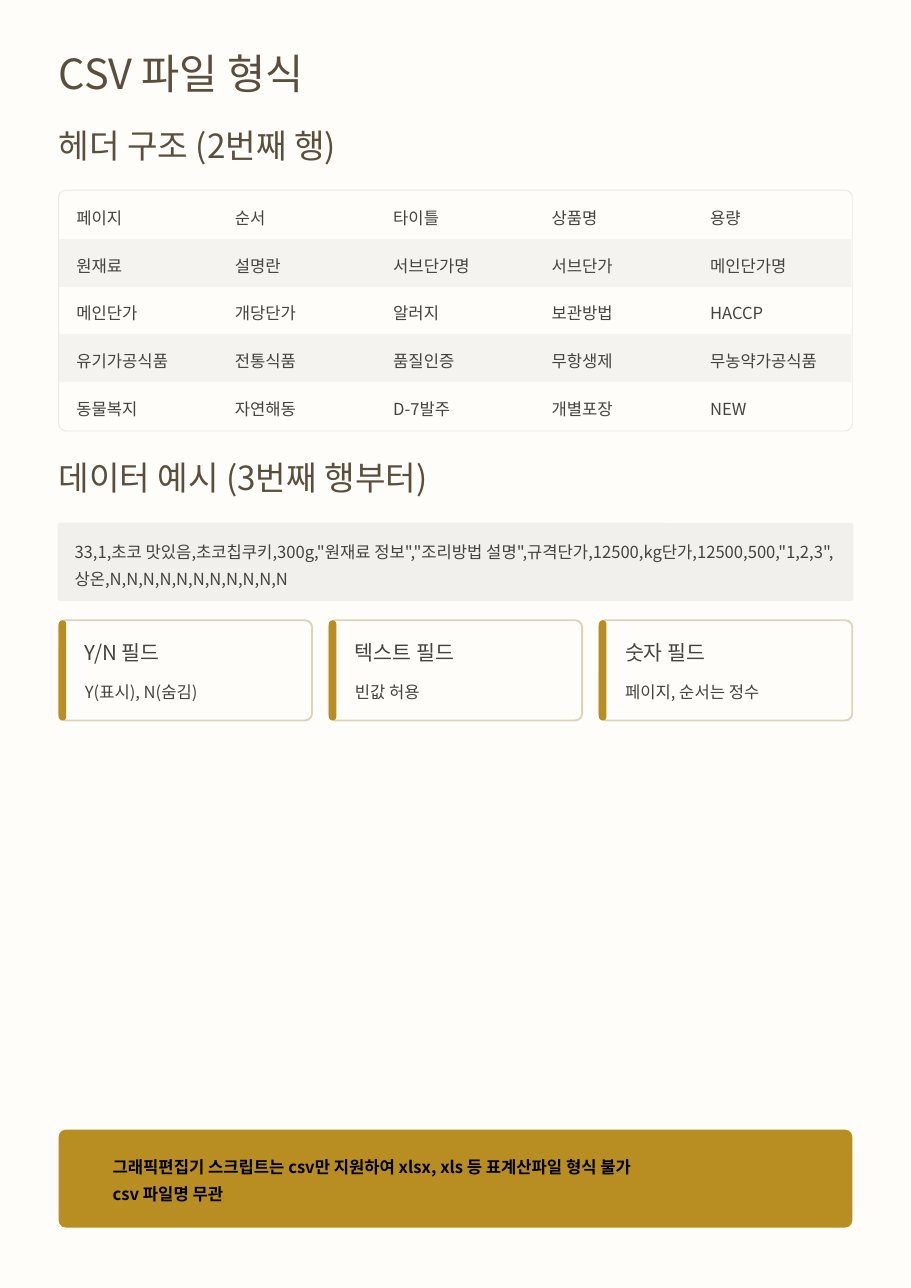
from dataclasses import dataclass

from lxml import etree
from pptx import Presentation
from pptx.dml.color import RGBColor
from pptx.enum import shapes, text
from pptx.oxml.ns import qn
from pptx.slide import Slide
from pptx.util import Pt

FONT = "Noto Sans CJK KR"
PAPER = RGBColor(0xFF, 0xFD, 0xFA)
BROWN = RGBColor(0x5C, 0x4E, 0x3D)
INK = RGBColor(0x45, 0x42, 0x40)
BLACK = RGBColor(0, 0, 0)
GOLD = RGBColor(0xB8, 0x8E, 0x23)
SAND = RGBColor(0xDD, 0xD3, 0xBA)
CODE_BG = RGBColor(0xF2, 0xF0, 0xED)
BAND = RGBColor(0xF5, 0xF3, 0xF0)
FRAME = RGBColor(0xEB, 0xE9, 0xE6)
NO_STYLE = "{2D5ABB26-0587-4C30-8999-92F81FD0307C}"

LEFT, WIDTH = 74.25, 1003.5
CARD_TOP, CARD_H, CARD_GAP = 784.25, 126.75, 21.25
CARD_W = (WIDTH - 2 * CARD_GAP) / 3
ROW_H, COL_W = 60.35, 200.35


@dataclass(frozen=True)
class Style:
    size: float
    leading: float
    color: RGBColor
    bold: bool = False


@dataclass(frozen=True)
class Box:
    x: float
    y: float
    w: float
    h: float


@dataclass(frozen=True)
class Card:
    title: str
    note: str


TITLE = Style(52.5, 66, BROWN)
HEADING = Style(42, 52.5, BROWN)
BODY = Style(21, 33.5, INK)
CARD_TITLE = Style(26, 33, INK)
NOTICE = Style(21, 33.5, BLACK, True)

FIELDS = [
    ["페이지", "순서", "타이틀", "상품명", "용량"],
    ["원재료", "설명란", "서브단가명", "서브단가", "메인단가명"],
    ["메인단가", "개당단가", "알러지", "보관방법", "HACCP"],
    ["유기가공식품", "전통식품", "품질인증", "무항생제", "무농약가공식품"],
    ["동물복지", "자연해동", "D-7발주", "개별포장", "NEW"],
]
EXAMPLE = (
    '33,1,초코 맛있음,초코칩쿠키,300g,"원재료 정보","조리방법 설명",규격단가,12500,'
    'kg단가,12500,500,"1,2,3",상온,N,N,N,N,N,N,N,N,N,N,N'
)
CARDS = [
    Card("Y/N 필드", "Y(표시), N(숨김)"),
    Card("텍스트 필드", "빈값 허용"),
    Card("숫자 필드", "페이지, 순서는 정수"),
]
NOTICE_LINES = [
    "그래픽편집기 스크립트는 csv만 지원하여 xlsx, xls 등 표계산파일 형식 불가",
    "csv 파일명 무관",
]


def write(p, line: str, style: Style) -> None:
    p.line_spacing = Pt(style.leading)
    r = p.add_run()
    r.text = line
    r.font.name = FONT
    r.font.size = Pt(style.size)
    r.font.bold = style.bold
    r.font.color.rgb = style.color
    ea = etree.SubElement(r.font._element, qn("a:ea"))
    ea.set("typeface", FONT)


def add_text(s: Slide, box: Box, lines: list[str], style: Style, wrap: bool = False) -> None:
    tf = s.shapes.add_textbox(Pt(box.x), Pt(box.y), Pt(box.w), Pt(box.h)).text_frame
    tf.margin_left = tf.margin_right = tf.margin_top = tf.margin_bottom = 0
    tf.word_wrap = wrap
    for i, line in enumerate(lines):
        write(tf.add_paragraph() if i else tf.paragraphs[0], line, style)


def add_panel(s: Slide, box: Box, radius: float, fill: RGBColor,
              line: RGBColor | None = None, weight: float = 0) -> None:
    sp = s.shapes.add_shape(shapes.MSO_SHAPE.ROUNDED_RECTANGLE,
                            Pt(box.x), Pt(box.y), Pt(box.w), Pt(box.h))
    sp.shadow.inherit = False
    sp.adjustments[0] = radius / min(box.w, box.h)
    sp.fill.solid()
    sp.fill.fore_color.rgb = fill
    if line is None:
        sp.line.fill.background()
    else:
        sp.line.color.rgb = line
        sp.line.width = Pt(weight)


def add_fields(s: Slide, x: float, y: float) -> None:
    rows, cols = len(FIELDS), len(FIELDS[0])
    frame = s.shapes.add_table(rows, cols, Pt(x), Pt(y), Pt(cols * COL_W), Pt(rows * ROW_H))
    frame._element.find(".//" + qn("a:tableStyleId")).text = NO_STYLE
    table = frame.table
    table.first_row = table.horz_banding = False
    for col in table.columns:
        col.width = Pt(COL_W)
    for i, names in enumerate(FIELDS):
        table.rows[i].height = Pt(ROW_H)
        for j, name in enumerate(names):
            cell = table.cell(i, j)
            cell.margin_left = Pt(21.6)
            cell.margin_right = cell.margin_bottom = 0
            cell.margin_top = Pt(14.5)
            cell.vertical_anchor = text.MSO_ANCHOR.TOP
            if i % 2:
                cell.fill.solid()
                cell.fill.fore_color.rgb = BAND
            else:
                cell.fill.background()
            write(cell.text_frame.paragraphs[0], name, BODY)


def add_card(s: Slide, x: float, card: Card) -> None:
    add_panel(s, Box(x, CARD_TOP, CARD_W, CARD_H), 8.9, PAPER, SAND, 2.4)
    add_panel(s, Box(x, CARD_TOP, 9.5, CARD_H), 4.75, GOLD)
    add_text(s, Box(x + 33, 807.75, 264, 33), [card.title], CARD_TITLE)
    add_text(s, Box(x + 33, 853.75, 264, 33.75), [card.note], BODY)


def main() -> None:
    prs = Presentation()
    prs.slide_width, prs.slide_height = Pt(1152), Pt(1628.64)
    s = prs.slides.add_slide(prs.slide_layouts[6])
    s.background.fill.solid()
    s.background.fill.fore_color.rgb = PAPER

    add_text(s, Box(LEFT, 58, 528.5, 66), ["CSV 파일 형식"], TITLE)
    add_text(s, Box(LEFT, 156.25, 422.5, 52.5), ["헤더 구조 (2번째 행)"], HEADING)
    add_panel(s, Box(LEFT, 240.5, WIDTH, 304.5), 8.9, PAPER, FRAME, 1.2)
    add_fields(s, 75, 241.75)

    add_text(s, Box(LEFT, 576.75, 540, 52.5), ["데이터 예시 (3번째 행부터)"], HEADING)
    add_panel(s, Box(73, 661, 1006, 99.25), 3.2, CODE_BG)
    add_text(s, Box(94.25, 677, 964, 67.5), [EXAMPLE], BODY, wrap=True)

    for i, card in enumerate(CARDS):
        add_card(s, LEFT + i * (CARD_W + CARD_GAP), card)

    add_panel(s, Box(LEFT, 1428.5, WIDTH, 123.75), 8.9, GOLD)
    add_text(s, Box(142.5, 1455, 914.5, 67.5), NOTICE_LINES, NOTICE, wrap=True)
    prs.save("out.pptx")


if __name__ == "__main__":
    main()
